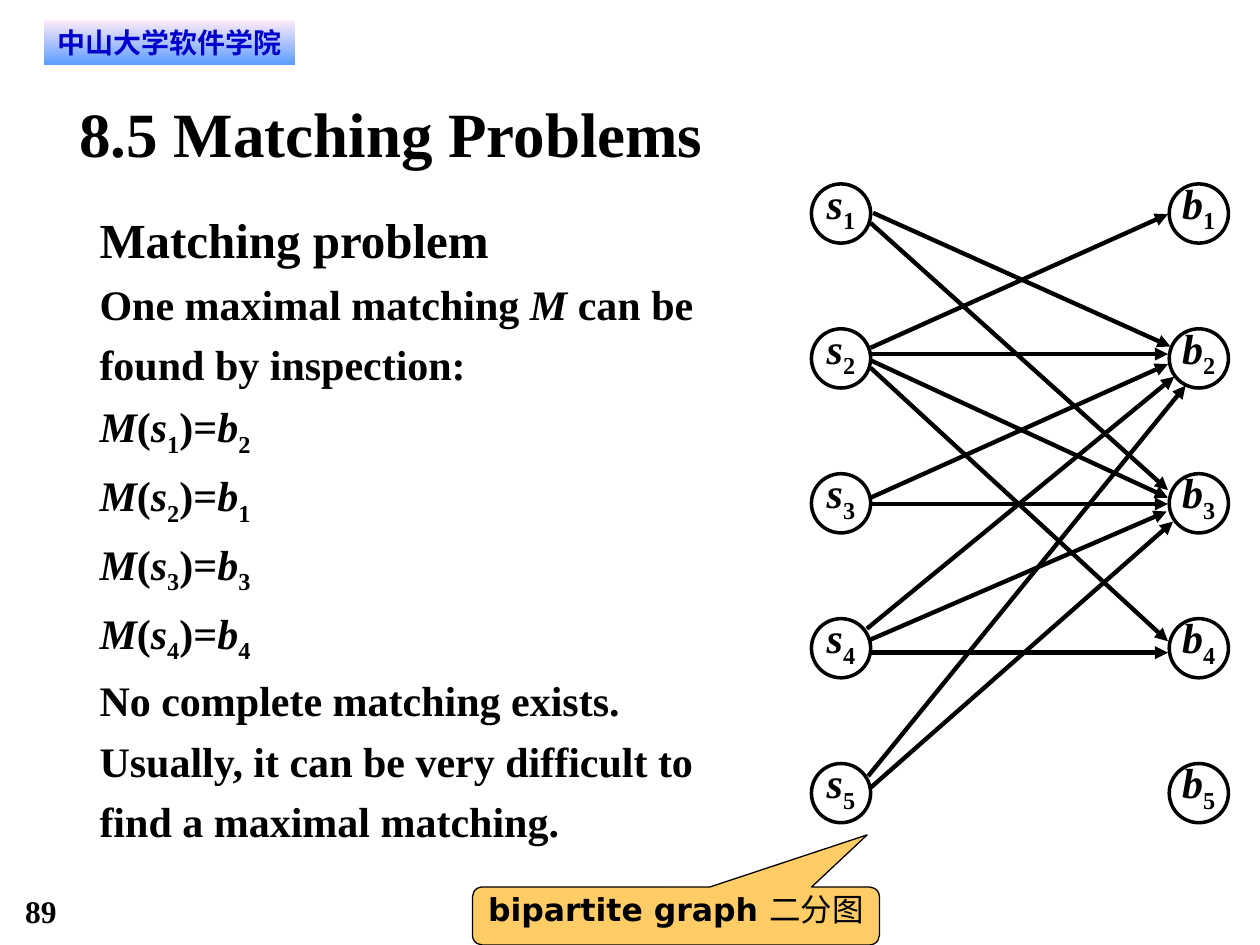
from dataclasses import dataclass
from typing import NamedTuple

import pptx
import pptx.dml.color
import pptx.enum.shapes
import pptx.enum.text
import pptx.oxml
import pptx.oxml.ns
import pptx.util

Inches = pptx.util.Inches
Pt = pptx.util.Pt
Shapes = pptx.enum.shapes.MSO_SHAPE
Align = pptx.enum.text.PP_ALIGN
Anchor = pptx.enum.text.MSO_ANCHOR

COLORS = {
    "ink": "000000",
    "school": "0000CC",
    "school_top": "FFEBFA",
    "school_bottom": "5E9EFF",
    "callout": "FFCC66",
}
SERIF = "Times New Roman"
SANS = "DejaVu Sans"

NODE_SIZE = 0.47
NODE_TOP, NODE_STEP = 1.46, 1.15
NODE_COLUMNS = {"s": 6.44, "b": 9.28}
NODES_PER_SIDE = 5


class Box(NamedTuple):
    left: float
    top: float
    width: float
    height: float


class Span(NamedTuple):
    text: str
    italic: bool = False
    subscript: bool = False
    bold: bool = True


@dataclass
class Line:
    spans: list[Span]
    size: float = 24
    font: str = SERIF
    color: str = "ink"
    align: Align = Align.LEFT
    spacing: float = 1.0


class Edge(NamedTuple):
    start: tuple[float, float]
    end: tuple[float, float]


EDGES = [
    Edge((6.91, 2.76), (9.27, 1.70)),
    Edge((6.93, 1.69), (9.29, 2.75)),
    Edge((6.91, 1.77), (9.27, 3.89)),
    Edge((6.91, 2.81), (9.27, 2.81)),
    Edge((6.91, 2.86), (9.27, 3.95)),
    Edge((6.91, 2.92), (9.27, 5.09)),
    Edge((6.91, 3.95), (9.27, 2.89)),
    Edge((6.88, 4.99), (9.32, 2.99)),
    Edge((6.89, 6.16), (9.41, 3.06)),
    Edge((6.90, 6.26), (9.31, 4.14)),
    Edge((6.90, 5.08), (9.26, 4.06)),
    Edge((6.91, 4.00), (9.27, 4.00)),
    Edge((6.91, 5.18), (9.27, 5.18)),
]


def rgb(name: str) -> pptx.dml.color.RGBColor:
    return pptx.dml.color.RGBColor.from_string(COLORS[name])


def indexed(letter: str, index: int) -> list[Span]:
    return [Span(letter, italic=True), Span(str(index), subscript=True)]


def match(source: int, target: int) -> list[Span]:
    """Spans of the formula M(s_i)=b_j."""
    return [Span("M", italic=True), Span("("), *indexed("s", source),
            Span(")="), *indexed("b", target)]


def write(shape, lines: list[Line], anchor: Anchor = Anchor.TOP,
          wrap: bool = True, inset: tuple[float, float] = (0, 0)) -> None:
    """Fill a shape with lines; inset is (horizontal, vertical) in inches."""
    frame = shape.text_frame
    frame_format = {
        "margin_left": Inches(inset[0]), "margin_right": Inches(inset[0]),
        "margin_top": Inches(inset[1]), "margin_bottom": Inches(inset[1]),
        "vertical_anchor": anchor, "word_wrap": wrap,
    }
    for name, value in frame_format.items():
        setattr(frame, name, value)
    for number, line in enumerate(lines):
        paragraph = frame.add_paragraph() if number else frame.paragraphs[0]
        paragraph.alignment = line.align
        paragraph.line_spacing = line.spacing
        for span in line.spans:
            for row, text in enumerate(span.text.split("\n")):
                if row:
                    paragraph.add_line_break()
                run = paragraph.add_run()
                run.text = text
                font_format = {"name": line.font, "size": Pt(line.size),
                               "bold": span.bold, "italic": span.italic}
                for name, value in font_format.items():
                    setattr(run.font, name, value)
                run.font.color.rgb = rgb(line.color)
                if span.subscript:
                    run._r.get_or_add_rPr().set("baseline", "-25000")


def add_text(slide, box: Box, lines: list[Line]) -> None:
    write(slide.shapes.add_textbox(*map(Inches, box)), lines)


def add_panel(slide, kind: Shapes, box: Box):
    panel = slide.shapes.add_shape(kind, *map(Inches, box))
    panel.shadow.inherit = False
    return panel


def outline(shape, width: float) -> None:
    shape.line.color.rgb = rgb("ink")
    shape.line.width = Pt(width)


def add_school(slide) -> None:
    school = add_panel(slide, Shapes.RECTANGLE, Box(0.35, 0.16, 1.99, 0.35))
    school.line.fill.background()
    school.fill.gradient()
    school.fill.gradient_angle = 270
    for stop, position, color in zip(school.fill.gradient_stops, (0, 1),
                                     ("school_top", "school_bottom")):
        stop.position = position
        stop.color.rgb = rgb(color)
    write(school, [Line([Span("中山大学软件学院")], 16, SANS, "school",
                        Align.CENTER)], inset=(0.08, 0.04))


def add_node(slide, side: str, index: int) -> None:
    top = NODE_TOP + (index - 1) * NODE_STEP
    node = add_panel(slide, Shapes.OVAL,
                     Box(NODE_COLUMNS[side], top, NODE_SIZE, NODE_SIZE))
    node.fill.background()
    outline(node, 2)
    write(node, [Line(indexed(side, index), align=Align.CENTER)],
          Anchor.BOTTOM, wrap=False)


def add_edge(slide, edge: Edge) -> None:
    arrow = slide.shapes.add_connector(
        pptx.enum.shapes.MSO_CONNECTOR.STRAIGHT,
        *map(Inches, (*edge.start, *edge.end)))
    outline(arrow, 2.5)
    namespace = pptx.oxml.ns.nsdecls("a")
    arrow.line._get_or_add_ln().append(
        pptx.oxml.parse_xml(f'<a:tailEnd {namespace} type="triangle"/>'))
    arrow._element.spPr.append(
        pptx.oxml.parse_xml(f"<a:effectLst {namespace}/>"))


def add_callout(slide) -> None:
    callout = add_panel(slide, Shapes.ROUNDED_RECTANGULAR_CALLOUT,
                        Box(3.75, 7.04, 3.23, 0.46))
    for number, value in enumerate((0.47, -1.4, 0.17)):
        callout.adjustments[number] = value
    callout.fill.solid()
    callout.fill.fore_color.rgb = rgb("callout")
    outline(callout, 0.75)
    write(callout, [Line([Span("bipartite graph "), Span("二分图", bold=False)],
                         18, SANS, align=Align.CENTER)])


def main() -> None:
    deck = pptx.Presentation()
    deck.slide_width, deck.slide_height = Inches(10), Inches(7.5)
    slide = deck.slides.add_slide(deck.slide_layouts[6])

    add_text(slide, Box(0.2, 7.08, 0.75, 0.3), [Line([Span("89")], 18)])
    add_school(slide)
    explanation = [
        [Span("One maximal matching "), Span("M", italic=True),
         Span(" can be found by inspection:")],
        *(match(*pair) for pair in ((1, 2), (2, 1), (3, 3), (4, 4))),
        [Span("No complete matching exists.")],
        [Span("Usually, it can be very difficult to\n"
              "find a maximal matching.")],
    ]
    add_text(slide, Box(0.79, 1.57, 5.33, 5.14),
             [Line([Span("Matching problem")], 28, spacing=1.2),
              *(Line(spans, spacing=1.2) for spans in explanation)])
    for side in NODE_COLUMNS:
        for index in range(1, NODES_PER_SIDE + 1):
            add_node(slide, side, index)
    add_text(slide, Box(0.63, 0.75, 8.75, 0.6),
             [Line([Span("8.5 Matching Problems")], 36)])
    for edge in EDGES:
        add_edge(slide, edge)
    add_callout(slide)

    deck.save("out.pptx")


if __name__ == "__main__":
    main()
